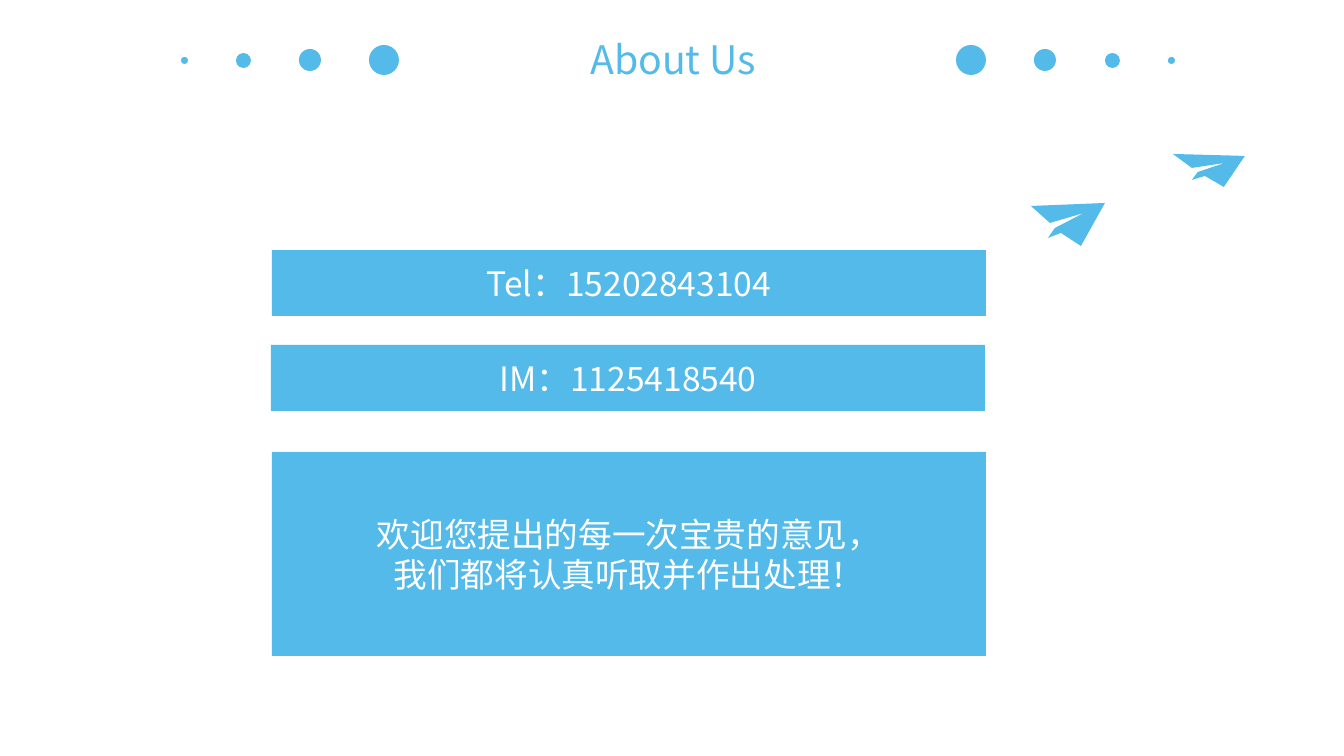
from pptx import Presentation
from pptx.dml.color import RGBColor
from pptx.enum.shapes import MSO_SHAPE as Preset
from pptx.enum.text import MSO_ANCHOR as Anchor, MSO_AUTO_SIZE as AutoSize, PP_ALIGN as Align
from pptx.util import Emu, Pt
from lxml.etree import SubElement
from pptx.oxml.ns import qn

SKY = "53BAE9"
WHITE = "FFFFFF"
FONT = "Noto Sans CJK SC"
MIRROR_SUM = 1355
DOTS_MIDDLE = 60
DOTS = [(384, 30), (310, 22), (243, 15), (184, 7)]
BARS = [
    (272, 250, 66, ["Tel：15202843104"]),
    (271, 345, 66, ["IM：1125418540"]),
    (272, 452, 204, ["欢迎您提出的每一次宝贵的意见，", "我们都将认真听取并作出处理！"]),
]
PLANES = [
    [(1105, 203), (1081, 246), (1061, 233), (1048, 238), (1055, 228),
     (1084, 213), (1050, 223), (1031, 206)],
    [(1245, 156), (1224, 187), (1205, 176), (1192, 180), (1198, 172),
     (1225, 163), (1192, 168), (1173, 154)],
]


def px(length):
    return Emu(round(length * 914400 / 100.8))


def color(code):
    return RGBColor.from_string(code)


class Painter:
    """Draws flat single-colour elements on the current page."""

    def __init__(self, page):
        self.page = page

    def flat(self, shape):
        shape.shadow.inherit = False
        shape.fill.solid()
        shape.fill.fore_color.rgb = color(SKY)
        shape.line.fill.background()
        return shape

    def shape(self, preset, left, top, width, height):
        return self.flat(self.page.shapes.add_shape(
            preset, px(left), px(top), px(width), px(height)))

    def dot(self, center, size):
        self.shape(Preset.OVAL, center - size // 2, DOTS_MIDDLE - size // 2, size, size)

    def bar(self, left, top, height, lines):
        box = self.shape(Preset.RECTANGLE, left, top, 714, height)
        self.letter(box.text_frame, lines, 24, WHITE)

    def title(self, left, top, width, height, text):
        box = self.page.shapes.add_textbox(px(left), px(top), px(width), px(height))
        box.text_frame.word_wrap = False
        box.text_frame.auto_size = AutoSize.SHAPE_TO_FIT_TEXT
        self.letter(box.text_frame, [text], 28, SKY)

    def plane(self, points):
        builder = self.page.shapes.build_freeform(*points[0], scale=px(1))
        builder.add_line_segments(points[1:], close=True)
        self.flat(builder.convert_to_shape())

    def letter(self, frame, lines, size, ink):
        frame.vertical_anchor = Anchor.MIDDLE
        for index, line in enumerate(lines):
            para = frame.add_paragraph() if index else frame.paragraphs[0]
            para.alignment = Align.CENTER
            span = para.add_run()
            span.text = line
            span.font.name = FONT
            span.font.size = Pt(size)
            span.font.color.rgb = color(ink)
            SubElement(span.font._element, qn("a:ea"), typeface=FONT)


def main():
    deck = Presentation()
    deck.slide_width, deck.slide_height = px(1344), px(756)
    painter = Painter(deck.slides.add_slide(deck.slide_layouts[6]))
    for center, size in DOTS:
        painter.dot(center, size)
        painter.dot(MIRROR_SUM - center, size)
    painter.title(575, 29, 196, 60, "About Us")
    for bar in BARS:
        painter.bar(*bar)
    for points in PLANES:
        painter.plane(points)
    deck.save("out.pptx")


if __name__ == "__main__":
    main()
